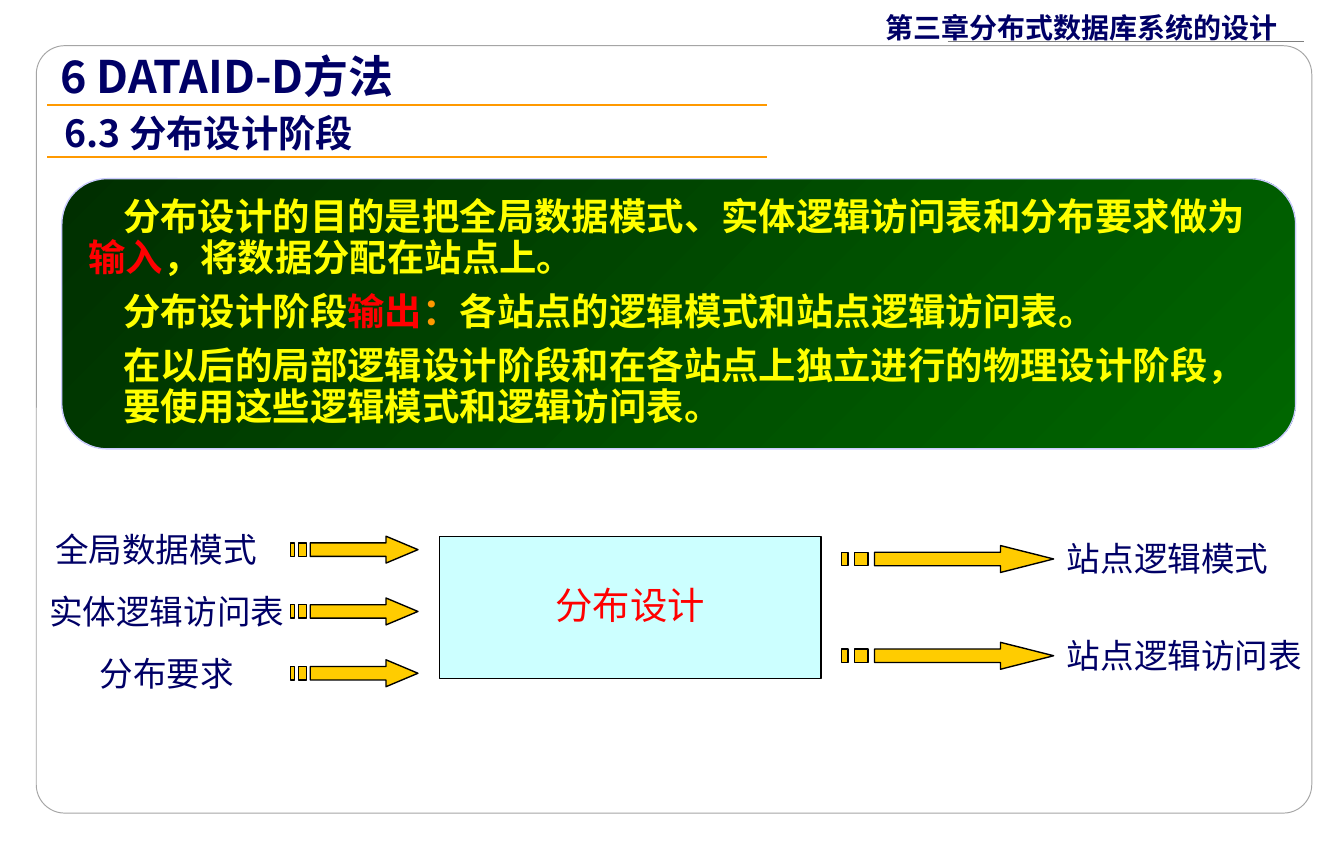
import pptx
import pptx.dml.color
import pptx.enum.shapes
import pptx.enum.text
import pptx.util
from pptx.util import Inches
from lxml import etree

COLORS = {
    "navy": "000066", "white": "FFFFFF", "black": "000000", "red": "FF0000",
    "yellow": "FFFF00", "orange": "FF9900", "gold": "FFCC00", "cyan": "CCFFFF",
    "lavender": "CCCCFF", "frame": "A5A5A5", "rule": "7F7F7F",
    "dark_green": "002F00", "green": "006600",
}
SANS = "Noto Sans CJK SC"
SERIF = "Times New Roman"
DRAWING = "http://schemas.openxmlformats.org/drawingml/2006/main"
SHAPES = pptx.enum.shapes.MSO_SHAPE
ALIGN = pptx.enum.text.PP_ALIGN
ANCHOR = pptx.enum.text.MSO_ANCHOR


def rgb(name):
    return pptx.dml.color.RGBColor.from_string(COLORS[name])


def set_line(item, color, width):
    item.line.color.rgb = rgb(color)
    item.line.width = pptx.util.Pt(width)


def format_span(span, size, color, font=SERIF, bold=False):
    span.font.size = pptx.util.Pt(size)
    span.font.name = font
    span.font.bold = bold
    span.font.color.rgb = rgb(color)
    # Chinese characters take their own typeface
    etree.SubElement(span.font._element, f"{{{DRAWING}}}ea", typeface=SANS)


def add_shape(page, kind, area, line, width, fill=None, corner=None):
    shape = page.shapes.add_shape(kind, *map(Inches, area))
    shape.shadow.inherit = False
    if corner is not None:
        shape.adjustments[0] = corner
    if fill:
        shape.fill.solid()
        shape.fill.fore_color.rgb = rgb(fill)
    set_line(shape, line, width)
    return shape


def add_rule(page, left, right, y, color, width):
    rule = page.shapes.add_connector(
        pptx.enum.shapes.MSO_CONNECTOR.STRAIGHT,
        Inches(left), Inches(y), Inches(right), Inches(y))
    set_line(rule, color, width)
    etree.SubElement(rule._element.spPr, f"{{{DRAWING}}}effectLst")


def add_text(page, area, text, size, font=SERIF, bold=False, align=ALIGN.LEFT,
             spacing=1.0, inset=0.1):
    box = page.shapes.add_textbox(*map(Inches, area))
    frame = box.text_frame
    frame.word_wrap = True
    frame.margin_left = frame.margin_right = Inches(inset)
    frame.text = text
    para = frame.paragraphs[0]
    para.alignment = align
    para.line_spacing = spacing
    format_span(para.runs[0], size, "navy", font, bold)


def add_striped_arrow(page, left, top, width, height=0.2):
    def point(x, y):
        return Inches(left + x * width), Inches(top + y * height)

    def bar(start, end):
        return [(start, 0.25), (start, 0.75), (end, 0.75), (end, 0.25)]

    head = [(0.75, 0), (0.75, 0.25), (5 / 32, 0.25), (5 / 32, 0.75),
            (0.75, 0.75), (0.75, 1), (1, 0.5)]
    builder = page.shapes.build_freeform(*point(*head[0]))
    for outline in (head, bar(1 / 16, 1 / 8), bar(0, 1 / 32)):
        if outline is not head:
            builder.move_to(*point(*outline[0]))
        builder.add_line_segments([point(*corner) for corner in outline[1:]])
    arrow = builder.convert_to_shape()
    arrow.shadow.inherit = False
    arrow.fill.solid()
    arrow.fill.fore_color.rgb = rgb("gold")
    set_line(arrow, "black", 0.75)


def add_process(page, area, text):
    process = add_shape(page, SHAPES.RECTANGLE, area, "black", 0.75, "cyan")
    frame = process.text_frame
    frame.text = text
    frame.vertical_anchor = ANCHOR.MIDDLE
    para = frame.paragraphs[0]
    para.alignment = ALIGN.CENTER
    para.line_spacing = 0.9
    format_span(para.runs[0], 20, "red")


def add_panel(page, area, paragraphs):
    panel = add_shape(page, SHAPES.ROUNDED_RECTANGLE, area, "lavender", 0.75,
                      corner=0.167)
    panel.fill.gradient()
    panel.fill.gradient_angle = 315
    for stop, color in zip(panel.fill.gradient_stops, ("dark_green", "green")):
        stop.color.rgb = rgb(color)
    frame = panel.text_frame
    frame.word_wrap = True
    frame.vertical_anchor = ANCHOR.TOP
    for index, (margin, indent, spans) in enumerate(paragraphs):
        para = frame.add_paragraph() if index else frame.paragraphs[0]
        para.alignment = ALIGN.LEFT
        para.line_spacing = 0.9
        para.space_before = pptx.util.Pt(7.5 if index else 0)
        para._p.get_or_add_pPr().set("marL", str(Inches(margin)))
        para._p.get_or_add_pPr().set("indent", str(Inches(indent)))
        for text, color in spans:
            span = para.add_run()
            span.text = text
            format_span(span, 20, color, bold=True)


def main():
    deck = pptx.Presentation()
    deck.slide_width, deck.slide_height = Inches(10), Inches(6.28)
    page = deck.slides.add_slide(deck.slide_layouts[6])

    # Page frame and chapter name
    add_shape(page, SHAPES.ROUNDED_RECTANGLE, (0.27, 0.34, 9.49, 5.71),
              "frame", 0.5, "white", 0.037)
    add_text(page, (6.5, 0.03, 3.15, 0.34), "第三章分布式数据库系统的设计", 15,
             SANS, True, inset=0.09)
    add_rule(page, 7.05, 9.7, 0.31, "rule", 0.75)

    # Headings
    for y in (0.78, 1.17):
        add_rule(page, 0.35, 5.71, y, "orange", 1)
    add_text(page, (0.35, 0.31, 5, 0.5), "6 DATAID-D方法", 24, SANS, True)
    add_text(page, (0.38, 0.77, 5.8, 0.44), "6.3 分布设计阶段", 20, SANS, True)

    # Explanation: left margin, first-line indent, coloured spans
    add_panel(page, (0.46, 1.33, 9.18, 2.01), [
        (0, 0.26, [("分布设计的目的是把全局数据模式、实体逻辑访问表和分布要求做为", "yellow"),
                   ("输入", "red"), ("，将数据分配在站点上。", "yellow")]),
        (0, 0.26, [("分布设计阶段", "yellow"), ("输出", "red"), ("：", "orange"),
                   ("各站点的逻辑模式和站点逻辑访问表。", "yellow")]),
        (0.26, 0, [("在以后的局部逻辑设计阶段和在各站点上独立进行的物理设计阶段，"
                    "要使用这些逻辑模式和逻辑访问表。", "yellow")]),
    ])

    # Inputs, process and outputs
    add_process(page, (3.27, 3.99, 2.84, 1.06), "分布设计")
    inputs = ("全局数据模式", "实体逻辑访问表", "分布要求")
    for row, label in enumerate(inputs):
        top = 3.99 + 0.46 * row
        add_striped_arrow(page, 2.16, top, 0.95)
        left, align = (0, ALIGN.CENTER) if row else (-0.08, ALIGN.CENTER)
        add_text(page, (left, top - 0.07, 2.48, 0.37), label, 18,
                 align=align, spacing=0.9)
    for row, label in enumerate(("站点逻辑模式", "站点逻辑访问表")):
        top = 4.06 + 0.72 * row
        add_striped_arrow(page, 6.26, top, 1.58)
        add_text(page, (7.84, top - 0.07, 1.97, 0.37), label, 18, spacing=0.9)

    deck.save("out.pptx")


if __name__ == "__main__":
    main()
